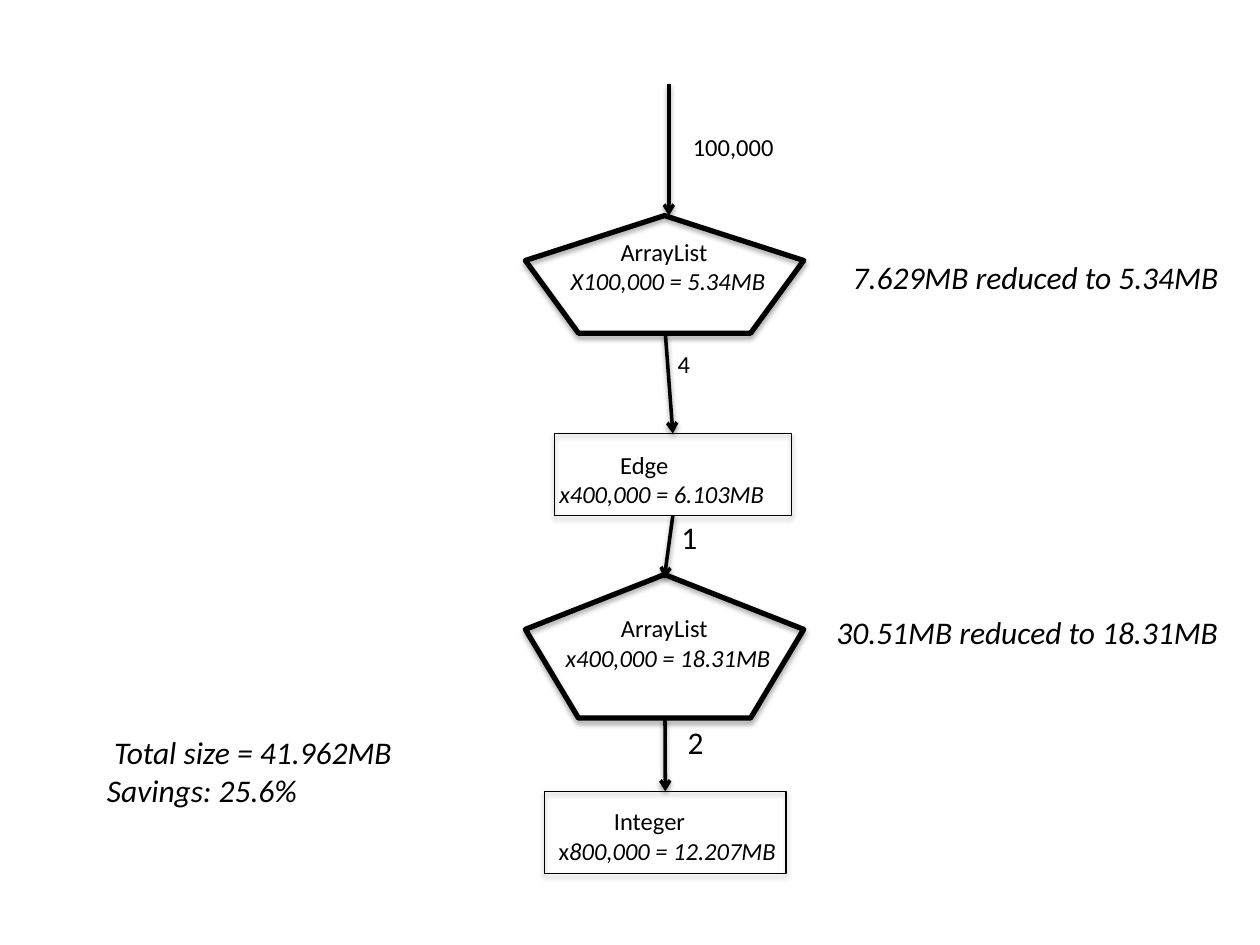
"""Build a slide showing the memory size of a chain of list and edge objects."""
from dataclasses import dataclass

from lxml import etree
from pptx import Presentation
from pptx.dml.color import RGBColor
from pptx.enum.shapes import MSO_CONNECTOR, MSO_SHAPE
from pptx.oxml.ns import qn
from pptx.util import Pt

PENTAGON = MSO_SHAPE.REGULAR_PENTAGON
RECTANGLE = MSO_SHAPE.RECTANGLE
STRAIGHT = MSO_CONNECTOR.STRAIGHT


@dataclass
class Theme:
    font: str = "Calibri"
    ink: RGBColor = RGBColor(0, 0, 0)
    label: int = 14
    note: int = 18
    heavy: float = 3
    medium: float = 2
    thin: float = 0.75


theme = Theme()


def add_text(s, lines, left, top, width, height, size=theme.label, italic=False):
    tb = s.shapes.add_textbox(Pt(left), Pt(top), Pt(width), Pt(height))
    tf = tb.text_frame
    tf.word_wrap = False
    for i, (indent, *runs) in enumerate(lines):
        p = tf.add_paragraph() if i else tf.paragraphs[0]
        if indent:
            p._p.get_or_add_pPr().set("marL", str(Pt(indent)))
        for text, slanted in runs:
            r = p.add_run()
            r.text = text
            r.font.name = theme.font
            r.font.size = Pt(size)
            r.font.italic = italic or slanted
            r.font.color.rgb = theme.ink


def style_line(sp, weight, distance, opacity):
    sp.line.color.rgb = theme.ink
    sp.line.width = Pt(weight)
    effects = etree.SubElement(sp._element.spPr, qn("a:effectLst"))
    shadow = etree.SubElement(effects, qn("a:outerShdw"), blurRad=str(Pt(3.1)),
                              dist=str(Pt(distance)), dir="5400000", rotWithShape="0")
    color = etree.SubElement(shadow, qn("a:srgbClr"), val=str(theme.ink))
    etree.SubElement(color, qn("a:alpha"), val=str(opacity * 1000))


prs = Presentation()
prs.slide_width, prs.slide_height = Pt(720), Pt(540)
s = prs.slides.add_slide(prs.slide_layouts[6])

nodes = [
    (PENTAGON, 300.2, 123.2, 159.1, 67.2, theme.heavy),
    (RECTANGLE, 316.8, 247.7, 135.4, 46.8, theme.thin),
    (PENTAGON, 300.2, 328.3, 159.1, 82, theme.heavy),
    (RECTANGLE, 311, 452.2, 138.2, 46.8, theme.thin),
]
for kind, left, top, width, height, weight in nodes:
    sp = s.shapes.add_shape(kind, Pt(left), Pt(top), Pt(width), Pt(height))
    sp.fill.background()
    style_line(sp, weight, 1.8, 35)

arrows = [
    (382.2, 48.2, 382.2, 123.2),
    (380.2, 190.6, 384.5, 247.7),
    (384.5, 294.5, 379.6, 330.5),
    (380, 410, 380.2, 452.2),
]
for arrow in arrows:
    cn = s.shapes.add_connector(STRAIGHT, *map(Pt, arrow))
    style_line(cn, theme.medium, 1.6, 38)
    etree.SubElement(cn.line._get_or_add_ln(), qn("a:tailEnd"), type="arrow")

node_labels = [
    ("ArrayList", 28.5, 0, [("X100,000 = 5.34MB", True)], 319, 131.8, 130.3),
    ("Edge", 34.8, 0, [("x400,000 = 6.103MB", True)], 312.5, 253.4, 136.1),
    ("ArrayList", 31.6, 0, [("x400,000 = 18.31MB", True)], 316.1, 347, 136.1),
    ("Integer", 34.8, 3.2, [("x", False), ("800,000 = 12.207MB", True)], 308.9, 457.2, 145.4),
]
for name, name_indent, size_indent, size_runs, left, top, width in node_labels:
    lines = [(name_indent, (name, False)), (size_indent, *size_runs)]
    add_text(s, lines, left, top, width, 41)

counts = [
    ("100,000", 388.8, 72, 61.2, 24.5, theme.label),
    ("4", 380.2, 195.8, 21.6, 24.5, theme.label),
    ("1", 382.3, 292.3, 23.8, 28.8, theme.note),
    ("2", 385.9, 409.7, 31.7, 28.8, theme.note),
]
for count, left, top, width, height, size in counts:
    add_text(s, [(0, (count, False))], left, top, width, height, size=size)

notes = [
    ([(4.1, ("Total size = 41.962MB", True)), (0, ("Savings: 25.6%", True))],
     54, 415.4, 183.6, 72.7),
    ([(0, ("7.629MB reduced to 5.34MB", True))], 480.2, 144, 226.8, 28.8),
    ([(0, ("30.51MB reduced to 18.31MB", True))], 470.9, 347, 236.2, 28.8),
]
for lines, left, top, width, height in notes:
    add_text(s, lines, left, top, width, height, size=theme.note, italic=True)

prs.save("out.pptx")
